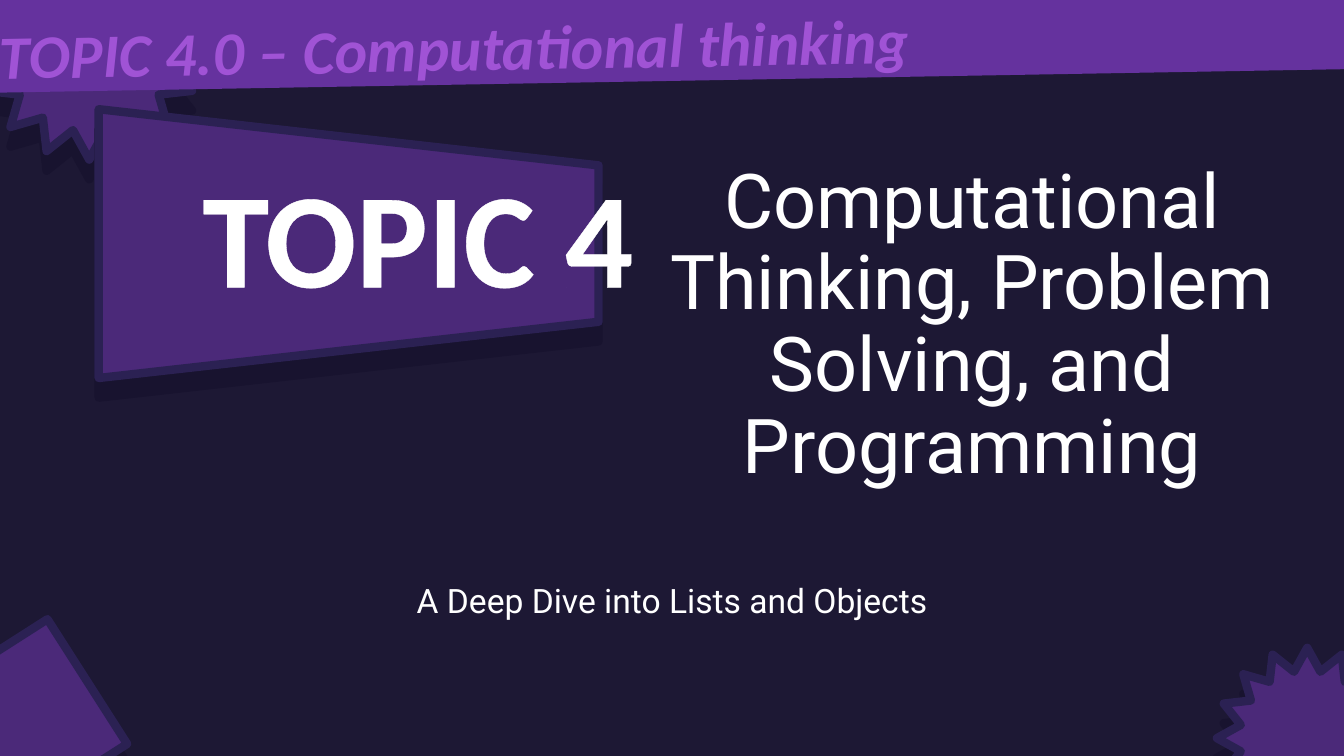
import pptx
import pptx.dml.color
import pptx.enum.shapes
import pptx.enum.text
import pptx.oxml.ns
import pptx.util
from dataclasses import dataclass
from lxml import etree

EMU_PER_PX = 9525  # 96 px to the inch
SHAPES = pptx.enum.shapes.MSO_SHAPE
ALIGN = pptx.enum.text.PP_ALIGN
ANCHOR = pptx.enum.text.MSO_ANCHOR
qn = pptx.oxml.ns.qn


@dataclass(frozen=True)
class Theme:
    night: str = "1D1834"
    band: str = "65329E"
    lilac: str = "A053D5"
    violet: str = "4B2979"
    edge: str = "2B2153"
    shade: str = "18132F"
    white: str = "FFFFFF"
    display_font: str = "Calibri"
    body_font: str = "Roboto"
    topic_size: int = 96
    title_size: int = 54
    band_size: int = 44
    subtitle_size: int = 24
    edge_width: int = 6
    shadow_drop: int = 14


THEME = Theme()


def px(*lengths):
    return [pptx.util.Emu(length * EMU_PER_PX) for length in lengths]


def rgb(value):
    return pptx.dml.color.RGBColor.from_string(value)


def add_block(slide, preset, box, color, rotation=0):
    """Add a plain filled shape without line or shadow."""
    block = slide.shapes.add_shape(preset, *px(*box))
    block.rotation = rotation
    block.fill.solid()
    block.fill.fore_color.rgb = rgb(color)
    block.line.fill.background()
    block.shadow.inherit = False
    return block


def add_ornament(slide, preset, box, rotation=0):
    """Add a violet shape with a thick edge and a hard shadow below it."""
    ornament = add_block(slide, preset, box, THEME.violet, rotation)
    ornament.line.color.rgb = rgb(THEME.edge)
    ornament.line.width = pptx.util.Pt(THEME.edge_width)
    effects = ornament._element.spPr.find(qn("a:effectLst"))
    drop = etree.SubElement(
        effects, qn("a:outerShdw"), blurRad="0",
        dist=str(pptx.util.Pt(THEME.shadow_drop)), dir="5400000",
        algn="t", rotWithShape="0")
    etree.SubElement(drop, qn("a:srgbClr"), val=THEME.shade)
    return ornament


def add_text(slide, text, box, *, size, font, color, bold=False, italic=False,
             align=ALIGN.LEFT, anchor=ANCHOR.TOP, spacing=1.0, rotation=0,
             outline=None):
    """Add one paragraph of text; outline is a letter line width in points."""
    label = slide.shapes.add_textbox(*px(*box))
    label.rotation = rotation
    frame = label.text_frame
    frame.word_wrap = True
    frame.vertical_anchor = anchor
    paragraph = frame.paragraphs[0]
    paragraph.alignment = align
    paragraph.line_spacing = spacing
    run = paragraph.add_run()
    run.text = text
    run.font.name = font
    run.font.size = pptx.util.Pt(size)
    run.font.bold = bold
    run.font.italic = italic
    run.font.color.rgb = rgb(color)
    if outline:
        letter_line = etree.Element(qn("a:ln"), w=str(pptx.util.Pt(outline)))
        line_fill = etree.SubElement(letter_line, qn("a:solidFill"))
        etree.SubElement(line_fill, qn("a:srgbClr"), val=color)
        run._r.get_or_add_rPr().insert(0, letter_line)
    return label


def main():
    deck = pptx.Presentation()
    deck.slide_width, deck.slide_height = px(1280, 720)
    slide = deck.slides.add_slide(deck.slide_layouts[6])
    slide.background.fill.solid()
    slide.background.fill.fore_color.rgb = rgb(THEME.night)

    # Star behind the top band
    add_ornament(slide, SHAPES.STAR_16_POINT, (-21, -60, 212, 212))

    # Title and subtitle
    add_text(slide, "Computational Thinking, Problem Solving, and Programming",
             (621, 174, 610, 297), size=THEME.title_size,
             font=THEME.body_font, color=THEME.white, align=ALIGN.CENTER,
             anchor=ANCHOR.BOTTOM, spacing=0.9)
    add_text(slide, "A Deep Dive into Lists and Objects", (160, 552, 960, 75),
             size=THEME.subtitle_size, font=THEME.body_font,
             color=THEME.white, align=ALIGN.CENTER, spacing=0.9)

    # Tilted top band
    tilt = 359
    add_block(slide, SHAPES.RECTANGLE, (-21, -65, 1331, 142), THEME.band, tilt)
    add_text(slide, "TOPIC 4.0 – Computational thinking", (-10, -1, 1524, 81),
             size=THEME.band_size, font=THEME.display_font, color=THEME.lilac,
             bold=True, italic=True, rotation=tilt, outline=1.5)

    # Topic sign
    sign = add_ornament(slide, SHAPES.TRAPEZOID, (204, -6, 256, 476), 90)
    sign.adjustments[0] = 0.209
    add_text(slide, "TOPIC 4", (57, 141, 682, 165), size=THEME.topic_size,
             font=THEME.display_font, color=THEME.white, bold=True,
             align=ALIGN.CENTER, outline=3)

    # Bottom corners
    add_ornament(slide, SHAPES.RECTANGLE, (-55, 619, 150, 141), 327.4)
    add_ornament(slide, SHAPES.STAR_16_POINT, (1159, 617, 172, 172))

    deck.save("out.pptx")


if __name__ == "__main__":
    main()
